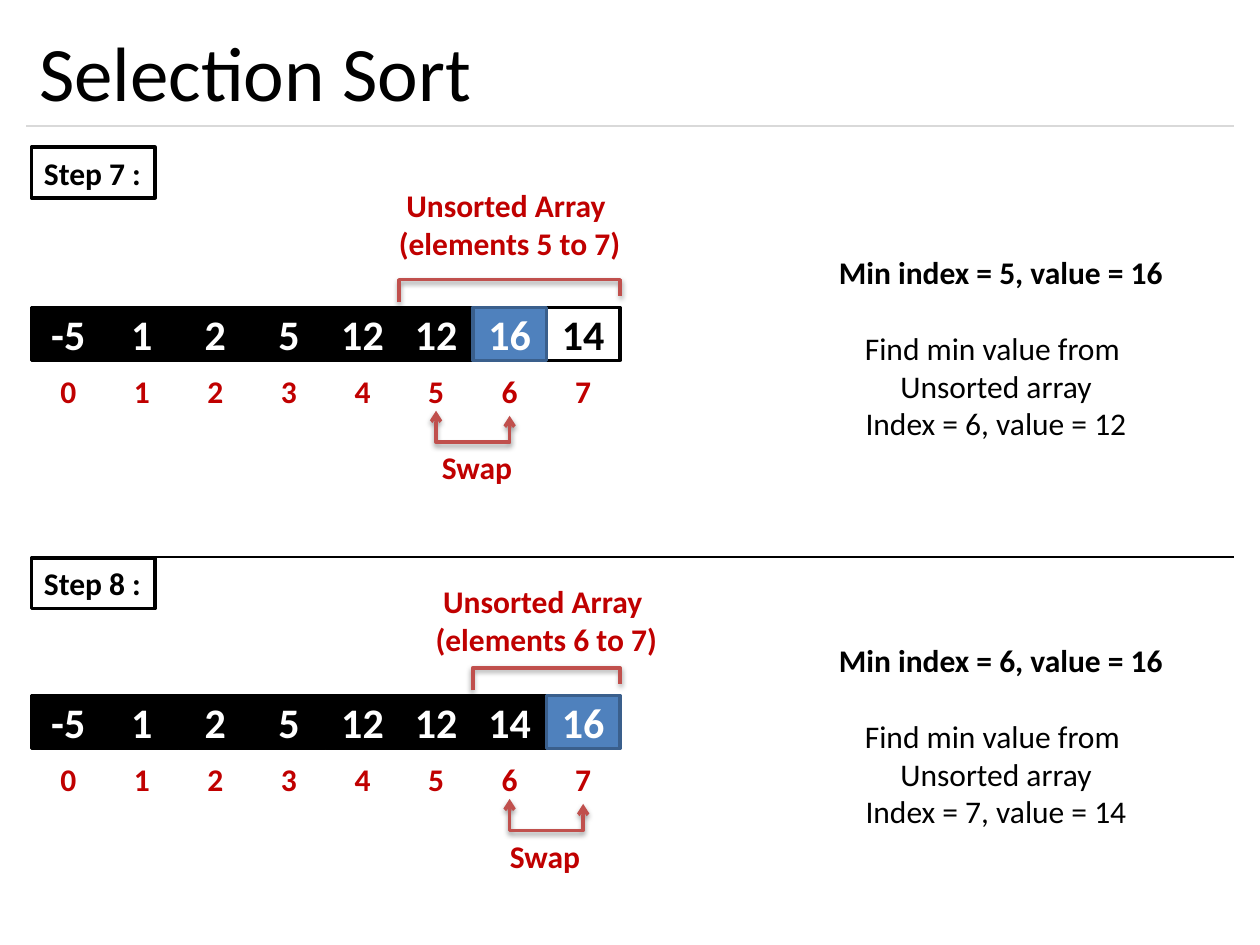
import pptx
import pptx.dml.color
import pptx.enum.shapes
import pptx.enum.text
import pptx.oxml
import pptx.oxml.ns
import pptx.util
from pptx.util import Inches

# Content
TITLE = "Selection Sort"
STEPS = [
    dict(name="Step 7 :", name_y=1.17, row_y=2.44, label_y=1.43, swap_x=3.29,
         values=[-5, 1, 2, 5, 12, 12, 16, 14], first=5, moved=6, sorted_to=6,
         unsorted=["Unsorted Array ", "(elements 5 to 7)"],
         minimum="Min index = 5, value = 16",
         find=["Find min value from ", "Unsorted array", "Index = 6, value = 12"]),
    dict(name="Step 8 :", name_y=4.43, row_y=5.52, label_y=4.57, swap_x=3.83,
         values=[-5, 1, 2, 5, 12, 12, 14, 16], first=6, moved=7, sorted_to=7,
         unsorted=["Unsorted Array ", "(elements 6 to 7)"],
         minimum="Min index = 6, value = 16",
         find=["Find min value from ", "Unsorted array", "Index = 7, value = 14"]),
]
FONT = "Calibri"
BLACK, WHITE, RED, BLUE = "000000", "FFFFFF", "C00000", "4F81BD"
BLUE_EDGE, MARK, GRAY = "3A5F8C", "C0504D", "D9D9D9"
LEFT, ROW_W, CELL_H = 0.25, 4.67, 0.42
CELL_W = ROW_W / 8
ALIGN = pptx.enum.text.PP_ALIGN
ANCHOR = pptx.enum.text.MSO_ANCHOR
SHADOW = ('<a:effectLst %s><a:outerShdw blurRad="39370" dist="20320" dir="5400000" '
          'rotWithShape="0"><a:srgbClr val="000000"><a:alpha val="38000"/></a:srgbClr>'
          '</a:outerShdw></a:effectLst>' % pptx.oxml.ns.nsdecls("a"))
NO_EFFECT = "<a:effectLst %s/>" % pptx.oxml.ns.nsdecls("a")


def rgb(color):
    return pptx.dml.color.RGBColor.from_string(color)


def set_line(sp, color, width):
    sp.line.color.rgb = rgb(color)
    sp.line.width = pptx.util.Pt(width)


def write(sp, lines, size, color, bold=False, align=ALIGN.CENTER,
          anchor=ANCHOR.TOP, wrap=True):
    tf = sp.text_frame
    tf.text = "\n".join(lines)
    tf.word_wrap = wrap
    tf.auto_size = pptx.enum.text.MSO_AUTO_SIZE.NONE
    tf.vertical_anchor = anchor
    for p in tf.paragraphs:
        p.alignment = align
        for r in p.runs:
            r.font.name, r.font.size, r.font.bold = FONT, pptx.util.Pt(size), bold
            r.font.color.rgb = rgb(color)


def add_text(x, y, w, h, lines, color=BLACK, bold=True, **kw):
    sp = s.shapes.add_textbox(*map(Inches, (x, y, w, h)))
    write(sp, lines, 18, color, bold, **kw)


def add_box(x, y, w, h, text, size, color, fill=None, edge=None, width=2, **kw):
    sp = s.shapes.add_shape(pptx.enum.shapes.MSO_SHAPE.RECTANGLE,
                            *map(Inches, (x, y, w, h)))
    sp.shadow.inherit = False
    if fill:
        sp.fill.solid()
        sp.fill.fore_color.rgb = rgb(fill)
    else:
        sp.fill.background()
    if edge:
        set_line(sp, edge, width)
    else:
        sp.line.fill.background()
    write(sp, [text], size, color, True, **kw)


def add_path(points, arrows=False):
    points = [(Inches(x), Inches(y)) for x, y in points]
    fb = s.shapes.build_freeform(*points[0])
    fb.add_line_segments(points[1:], close=False)
    sp = fb.convert_to_shape()
    sp.fill.background()
    set_line(sp, MARK, 2)
    if arrows:
        ln = sp.line._get_or_add_ln()
        for end in ("headEnd", "tailEnd"):
            ln.append(pptx.oxml.parse_xml(
                '<a:%s %s type="arrow"/>' % (end, pptx.oxml.ns.nsdecls("a"))))
    sp._element.spPr.append(pptx.oxml.parse_xml(SHADOW))


def add_rule(x1, x2, y, color):
    c = s.shapes.add_connector(pptx.enum.shapes.MSO_CONNECTOR.STRAIGHT,
                               *map(Inches, (x1, y, x2, y)))
    set_line(c, color, 0.75)
    c._element.spPr.append(pptx.oxml.parse_xml(NO_EFFECT))


def add_step(step):
    y, first, moved = step["row_y"], step["first"], step["moved"]
    right = LEFT + ROW_W
    add_box(LEFT, step["name_y"], 0.98, 0.4, step["name"], 18, BLACK,
            edge=BLACK, width=2.25, align=ALIGN.LEFT, wrap=False)

    # Array cells and their indexes; the highlighted cell goes on top
    order = sorted(range(len(step["values"])), key=lambda i: i == moved)
    for i in order:
        x = LEFT + i * CELL_W
        fill, edge, color = BLACK, BLACK, WHITE
        if i == moved:
            fill, edge = BLUE, BLUE_EDGE
        elif i >= step["sorted_to"]:
            fill, color = WHITE, BLACK
        add_box(x, y + 0.45, CELL_W, CELL_H, str(i), 18, RED, WHITE,
                anchor=ANCHOR.MIDDLE)
        add_box(x, y, CELL_W, CELL_H, str(step["values"][i]), 24, color, fill, edge,
                anchor=ANCHOR.MIDDLE)

    # Bracket over the unsorted part
    start = LEFT + first * CELL_W
    add_path([(start, y - 0.04), (start, y - 0.22),
              (right, y - 0.22), (right, y - 0.09)])
    add_text((start + right - 1.97) / 2, step["label_y"], 1.97, 0.71,
             step["unsorted"], RED, wrap=False)

    # Swap arrow
    a, b = (LEFT + (i + 0.5) * CELL_W for i in (first, moved))
    add_path([(a, y + 0.82), (a, y + 1.07), (b, y + 1.07), (b, y + 0.86)], arrows=True)
    add_text(step["swap_x"], y + 1.07, 0.99, 0.4, ["Swap"], RED)

    # Notes on the right
    add_text(6.56, y - 0.48, 2.8, 0.4, [step["minimum"]], align=ALIGN.LEFT, wrap=False)
    add_text(6.75, y + 0.12, 2.31, 1.01, step["find"], bold=False, wrap=False)


prs = pptx.Presentation()
prs.slide_width, prs.slide_height = Inches(10), Inches(7.5)
s = prs.slides.add_slide(prs.slide_layouts[5])

# Title
title = s.shapes.title
title.left, title.top, title.width, title.height = map(Inches, (0.21, 0.12, 9.58, 0.88))
write(title, [TITLE], 44, BLACK, align=ALIGN.LEFT, anchor=ANCHOR.MIDDLE)
add_rule(0.21, 9.79, 1, GRAY)

# Steps
for step in STEPS:
    add_step(step)
add_rule(LEFT, 9.79, 4.42, BLACK)

prs.save("out.pptx")
